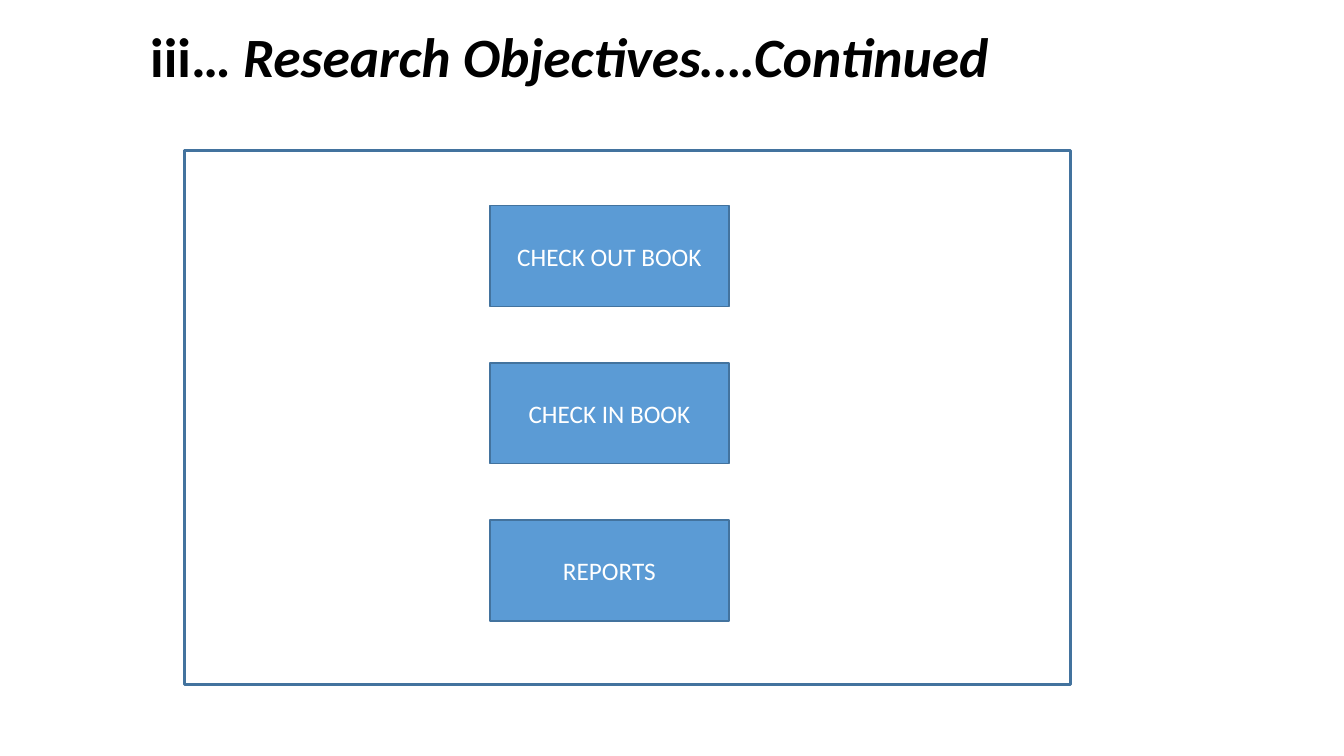
from pptx import Presentation
from pptx.dml.color import RGBColor
from pptx.enum.shapes import MSO_SHAPE
from pptx.enum.text import MSO_ANCHOR, MSO_AUTO_SIZE, PP_ALIGN
from pptx.util import Inches, Pt

RECTANGLE = MSO_SHAPE.RECTANGLE
MIDDLE = MSO_ANCHOR.MIDDLE
NO_AUTOFIT = MSO_AUTO_SIZE.NONE
LEFT, CENTER = PP_ALIGN.LEFT, PP_ALIGN.CENTER
BLUE, OUTLINE, WHITE, BLACK = "5B9BD5", "43739E", "FFFFFF", "000000"


def add_text(paragraph, text, size=18, color=WHITE, bold=False, italic=False, align=CENTER):
    paragraph.alignment = align
    run = paragraph.add_run()
    run.text = text
    run.font.name = "Calibri"
    run.font.size = Pt(size)
    run.font.bold = bold
    run.font.italic = italic
    run.font.color.rgb = RGBColor.from_string(color)


def add_box(left, top, width, height, line_width, fill=None):
    shape = slide.shapes.add_shape(
        RECTANGLE, Inches(left), Inches(top), Inches(width), Inches(height))
    shape.shadow.inherit = False
    if fill:
        shape.fill.solid()
        shape.fill.fore_color.rgb = RGBColor.from_string(fill)
    else:
        shape.fill.background()
    shape.line.color.rgb = RGBColor.from_string(OUTLINE)
    shape.line.width = Pt(line_width)
    return shape


presentation = Presentation()
presentation.slide_width = Inches(13.33)
presentation.slide_height = Inches(7.5)
slide = presentation.slides.add_slide(presentation.slide_layouts[5])

title = slide.shapes.title
title.left, title.top = Inches(1.39), Inches(0.29)
title.width, title.height = Inches(8.82), Inches(0.6)
title.text_frame.auto_size = NO_AUTOFIT
title.text_frame.word_wrap = True
title.text_frame.vertical_anchor = MIDDLE
heading = title.text_frame.paragraphs[0]
heading.line_spacing = 0.9
for text, italic in (("iii… ", False), ("Research Objectives….Continued", True)):
    add_text(heading, text, size=39.6, color=BLACK, bold=True, italic=italic, align=LEFT)

add_box(1.83, 1.49, 8.79, 5.3, 2)

for index, label in enumerate(("CHECK OUT BOOK", "CHECK IN BOOK", "REPORTS")):
    button = add_box(4.86, 2.04 + 1.56 * index, 2.37, 1, 1, fill=BLUE)
    button.text_frame.word_wrap = True
    button.text_frame.vertical_anchor = MIDDLE
    add_text(button.text_frame.paragraphs[0], label)

presentation.save("out.pptx")
